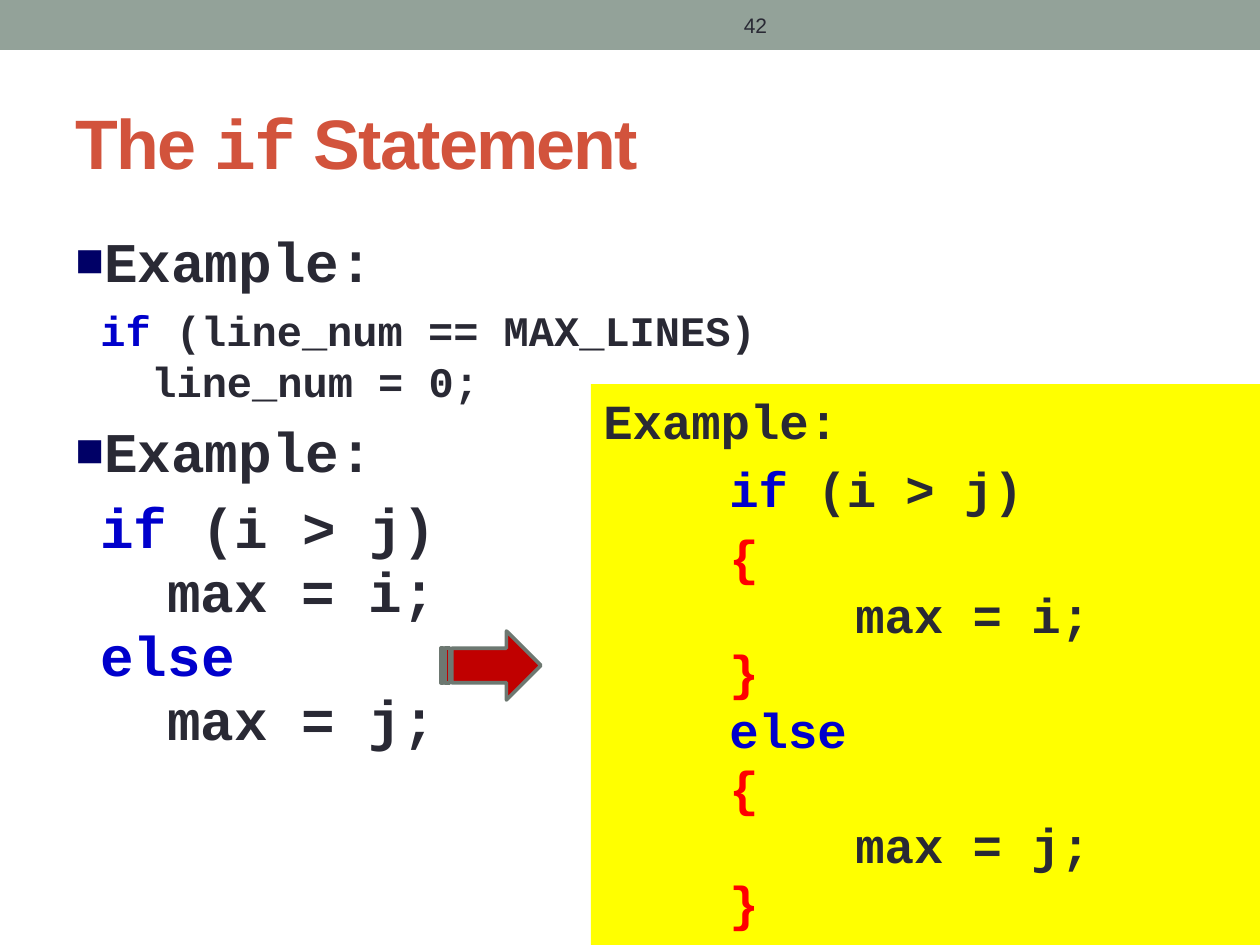
from dataclasses import dataclass

from lxml import etree
from pptx import Presentation
from pptx.dml.color import RGBColor
from pptx.enum.shapes import MSO_SHAPE
from pptx.enum.text import MSO_ANCHOR, MSO_AUTO_SIZE, PP_ALIGN
from pptx.oxml.ns import qn
from pptx.util import Emu, Pt

RECT = MSO_SHAPE.RECTANGLE
ARROW = MSO_SHAPE.STRIPED_RIGHT_ARROW
MIDDLE, TOP = MSO_ANCHOR.MIDDLE, MSO_ANCHOR.TOP
LEFT, CENTER = PP_ALIGN.LEFT, PP_ALIGN.CENTER
FIXED = MSO_AUTO_SIZE.NONE

SCALE = 914400 / 126
SANS, MONO = "Arial", "Courier New"
INK, BLUE, RED, RUST = "292934", "0000CC", "FF0000", "D2533C"
NAVY, SAGE, YELLOW = "000066", "93A299", "FFFF00"
CRIMSON, SLATE = "C00000", "6D7871"


@dataclass
class Span:
    text: str
    color: str = INK
    font: str = MONO
    bold: bool = True


@dataclass
class Line:
    spans: list[Span]
    size: int
    left: int = 0
    gap: float = 6
    pitch: float = 0.8
    align: PP_ALIGN = LEFT
    hang: int = 0


def px(num: int) -> Emu:
    return Emu(round(num * SCALE))


def rgb(code: str) -> RGBColor:
    return RGBColor.from_string(code)


def place(shape, box: tuple[int, int, int, int]) -> None:
    shape.left, shape.top, shape.width, shape.height = map(px, box)


def add_mark(props) -> None:
    tint = etree.SubElement(props, qn("a:buClr"))
    etree.SubElement(tint, qn("a:srgbClr"), val=NAVY)
    etree.SubElement(props, qn("a:buSzPct"), val="85000")
    etree.SubElement(props, qn("a:buFont"), typeface=SANS)
    etree.SubElement(props, qn("a:buChar"), char="■")


def write(shape, lines: list[Line], anchor: MSO_ANCHOR = TOP) -> None:
    frame = shape.text_frame
    frame.word_wrap = True
    frame.auto_size = FIXED
    frame.vertical_anchor = anchor
    for num, line in enumerate(lines):
        para = frame.add_paragraph() if num else frame.paragraphs[0]
        para.alignment = line.align
        para.line_spacing = line.pitch
        para.space_before = Pt(line.gap)
        props = para._p.get_or_add_pPr()
        props.set("marL", str(px(line.left)))
        props.set("indent", str(px(-line.hang)))
        if line.hang:
            add_mark(props)
        for span in line.spans:
            run = para.add_run()
            run.text = span.text
            run.font.name = span.font
            run.font.size = Pt(line.size)
            run.font.bold = span.bold
            run.font.color.rgb = rgb(span.color)


def add_block(slide, kind: MSO_SHAPE, box: tuple[int, int, int, int], fill: str):
    shape = slide.shapes.add_shape(kind, *map(px, box))
    shape.shadow.inherit = False
    shape.fill.solid()
    shape.fill.fore_color.rgb = rgb(fill)
    shape.line.fill.background()
    return shape


def add_text(slide, box: tuple[int, int, int, int], lines: list[Line],
             anchor: MSO_ANCHOR = TOP) -> None:
    write(slide.shapes.add_textbox(*map(px, box)), lines, anchor)


def add_title(slide) -> None:
    title = slide.shapes.title
    place(title, (63, 73, 1134, 136))
    spans = [Span("The ", RUST, SANS), Span("if", RUST), Span(" Statement", RUST, SANS)]
    write(title, [Line(spans, 40, gap=0, pitch=1)], MIDDLE)
    for run in title.text_frame.paragraphs[0].runs:
        run.font._element.set("spc", "-100")


def point() -> Line:
    return Line([Span("Example:")], 32, left=25, gap=6.4, pitch=1, hang=25)


def test(size: int, left: int, rest: str) -> Line:
    return Line([Span("if", BLUE), Span(rest)], size, left, gap=12)


def code(text: str, size: int, left: int, color: str = INK, gap: int = 6) -> Line:
    return Line([Span(text, color)], size, left, gap)


def block(text: str, gap: int = 6) -> list[Line]:
    return [code("{", 28, 126, RED, gap), code(text, 28, 252), code("}", 28, 126, RED)]


def main() -> None:
    deck = Presentation()
    deck.slide_width, deck.slide_height = px(1260), px(945)
    slide = deck.slides.add_slide(deck.slide_layouts[5])

    add_block(slide, RECT, (0, 0, 1260, 50), SAGE)
    add_title(slide)
    add_text(slide, (63, 220, 1134, 672), [
        point(),
        test(24, 25, " (line_num == MAX_LINES)"),
        code("line_num = 0;", 24, 76),
        point(),
        test(32, 25, " (i > j)"),
        code("max = i;", 32, 92),
        code("else", 32, 25, BLUE),
        code("max = j;", 32, 92),
    ])
    number = Line([Span("42", font=SANS, bold=False)], 12, gap=0, pitch=1, align=CENTER)
    add_text(slide, (472, 3, 567, 45), [number], MIDDLE)

    panel = add_block(slide, RECT, (591, 384, 669, 561), YELLOW)
    write(panel, [
        Line([Span("Example:")], 28, gap=0, pitch=1),
        test(28, 126, " (i > j)"),
        *block("max = i;", 12),
        code("else", 28, 126, BLUE),
        *block("max = j;"),
    ])

    arrow = add_block(slide, ARROW, (441, 631, 100, 69), CRIMSON)
    arrow.line.color.rgb = rgb(SLATE)
    arrow.line.width = Pt(2.08)

    deck.save("out.pptx")


if __name__ == "__main__":
    main()
